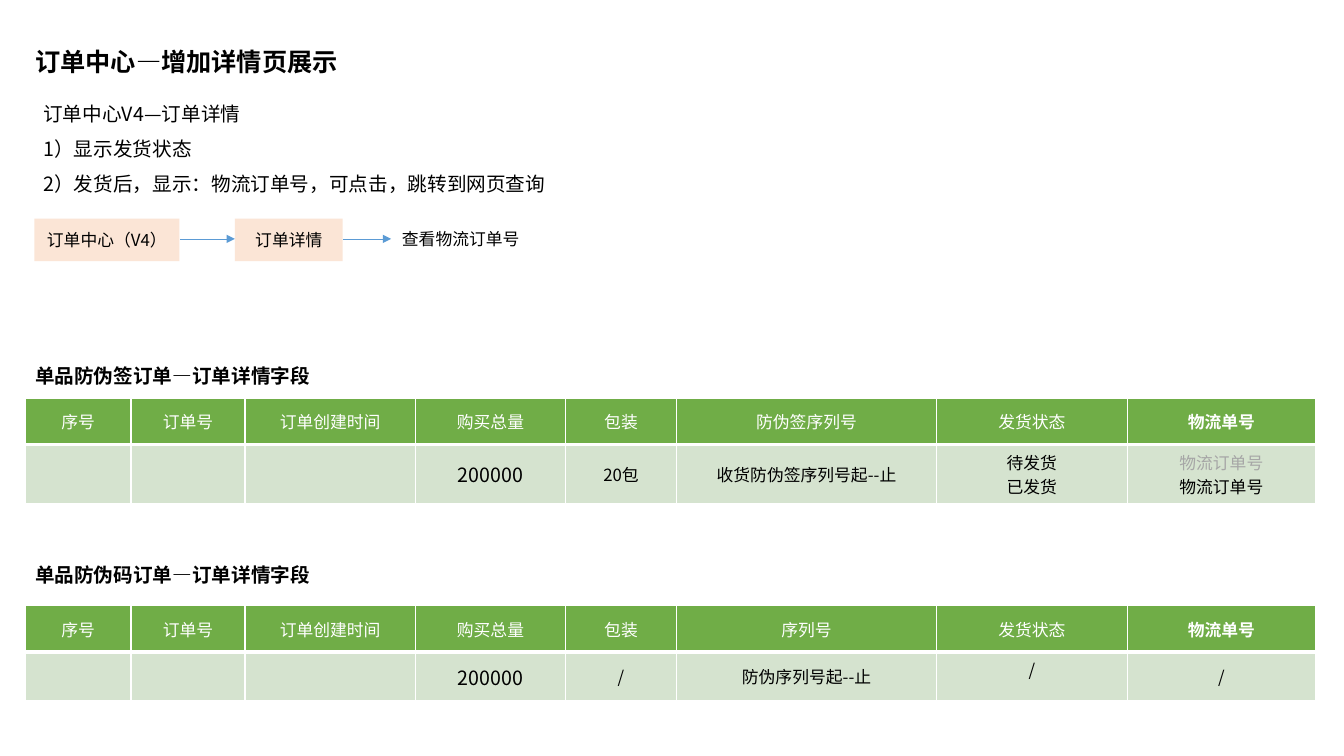
import pptx
import pptx.util
import pptx.dml.color
import pptx.enum.shapes
import pptx.enum.text
import pptx.oxml
import pptx.oxml.ns

Inches, Pt = pptx.util.Inches, pptx.util.Pt
RGB = pptx.dml.color.RGBColor.from_string
ALIGN = pptx.enum.text.PP_ALIGN
ANCHOR = pptx.enum.text.MSO_ANCHOR
SHAPE = pptx.enum.shapes.MSO_SHAPE
NS = pptx.oxml.ns.nsdecls("a")
FONT = "Noto Sans CJK SC"
COLORS = {"text": "000000", "white": "FFFFFF", "header": "70AD47", "row": "D5E3CF",
          "step": "FBE5D6", "arrow": "5B9BD5", "muted": "A6A6A6"}


def write(tf, text, size, color="text", bold=False, align=ALIGN.LEFT):
    """Fill a text frame and format every run, East Asian font included."""
    tf.text = text
    for p in tf.paragraphs:
        p.alignment = align
        for r in p.runs:
            r.font.size, r.font.bold, r.font.name = Pt(size), bold, FONT
            r.font.color.rgb = RGB(COLORS[color])
            r.font._element.append(pptx.oxml.parse_xml(f'<a:ea {NS} typeface="{FONT}"/>'))


def place(sp, left, top, width, height):
    sp.left, sp.top, sp.width, sp.height = map(Inches, (left, top, width, height))
    sp.text_frame.word_wrap = False
    sp.text_frame.auto_size = pptx.enum.text.MSO_AUTO_SIZE.NONE
    sp.text_frame.vertical_anchor = ANCHOR.TOP


prs = pptx.Presentation()
prs.slide_width, prs.slide_height = Inches(13.33), Inches(7.5)
s = prs.slides.add_slide(prs.slide_layouts[1])

# Title and requirements
place(s.shapes.title, 0.25, 0.41, 3.25, 0.4)
write(s.shapes.title.text_frame, "订单中心—增加详情页展示", 18, bold=True)

body = s.placeholders[1]
place(body, 0.33, 0.84, 5.23, 1.16)
write(body.text_frame, "订单中心V4—订单详情\n1）显示发货状态\n"
      "2）发货后，显示：物流订单号，可点击，跳转到网页查询", 14)
for p in body.text_frame.paragraphs:
    pPr = p._p.get_or_add_pPr()
    pPr.set("marL", "0")
    pPr.set("indent", "0")
    pPr.append(pptx.oxml.parse_xml(f"<a:buNone {NS}/>"))
    p.line_spacing = 1.5
    p.space_before = Pt(0)

# Flow from order centre to logistics number
for text, left, width in [("订单中心（V4）", 0.34, 1.44), ("订单详情", 2.33, 1.07)]:
    sp = s.shapes.add_shape(SHAPE.RECTANGLE, Inches(left), Inches(2.17), Inches(width), Inches(0.42))
    sp.shadow.inherit = False
    sp.fill.solid()
    sp.fill.fore_color.rgb = RGB(COLORS["step"])
    sp.line.fill.background()
    sp.text_frame.word_wrap = True
    sp.text_frame.vertical_anchor = ANCHOR.MIDDLE
    write(sp.text_frame, text, 12, align=ALIGN.CENTER)

for start, end in [(1.79, 2.33), (3.4, 3.88)]:
    arrow = s.shapes.add_connector(pptx.enum.shapes.MSO_CONNECTOR.STRAIGHT,
                                   Inches(start), Inches(2.37), Inches(end), Inches(2.37))
    arrow.line.color.rgb = RGB(COLORS["arrow"])
    arrow.line.width = Pt(0.5)
    arrow.line._get_or_add_ln().append(pptx.oxml.parse_xml(f'<a:tailEnd {NS} type="triangle"/>'))
    arrow._element.spPr.append(pptx.oxml.parse_xml(f"<a:effectLst {NS}/>"))

labels = [("查看物流订单号", 3.88, 2.22, 1.38, 0.3, 12, False, ALIGN.CENTER),
          ("单品防伪签订单—订单详情字段", 0.25, 3.56, 2.97, 0.34, 14, True, ALIGN.LEFT),
          ("单品防伪码订单—订单详情字段", 0.25, 5.54, 2.97, 0.34, 14, True, ALIGN.LEFT)]
for text, left, top, width, height, size, bold, align in labels:
    sp = s.shapes.add_textbox(0, 0, 0, 0)
    place(sp, left, top, width, height)
    write(sp.text_frame, text, size, bold=bold, align=align)

# Field tables
col_widths = [1.05, 1.13, 1.69, 1.49, 1.1, 2.58, 1.89, 1.87]
field_tables = [
    (3.95, "防伪签序列号", ["20包", "收货防伪签序列号起--止", "待发货\n已发货", "物流订单号\n物流订单号"]),
    (6.01, "序列号", ["/", "防伪序列号起--止", "/", "/"]),
]
tables = []
for top, serial, values in field_tables:
    table = s.shapes.add_table(2, 8, Inches(0.25), Inches(top), Inches(12.8), Inches(0.94)).table
    tables.append(table)
    for column, width in zip(table.columns, col_widths):
        column.width = Inches(width)
    table.rows[0].height, table.rows[1].height = Inches(0.46), Inches(0.48)
    header = ["序号", "订单号", "订单创建时间", "购买总量", "包装", serial, "发货状态", "物流单号"]
    for i, row in enumerate([header, ["", "", "", "200000"] + values]):
        for j, text in enumerate(row):
            cell = table.cell(i, j)
            cell.vertical_anchor = ANCHOR.MIDDLE
            write(cell.text_frame, text, 14 if i and j == 3 else 12, "text" if i else "white",
                  bold=text == "物流单号", align=ALIGN.CENTER)
            tcPr = cell._tc.get_or_add_tcPr()
            for side in "LRTB":
                thick = (i, side) in [(0, "B"), (1, "T")]
                tcPr.append(pptx.oxml.parse_xml(
                    f'<a:ln{side} {NS} w="{Pt(3 if thick else 1)}"><a:solidFill>'
                    f'<a:srgbClr val="{COLORS["white"]}"/></a:solidFill></a:ln{side}>'))
            cell.fill.solid()
            cell.fill.fore_color.rgb = RGB(COLORS["row" if i else "header"])

sign_table, code_table = tables
pending = sign_table.cell(1, 7).text_frame.paragraphs[0]
pending.runs[0].font.color.rgb = RGB(COLORS["muted"])
code_table.cell(1, 6).margin_bottom = Inches(0.19)

prs.save("out.pptx")
